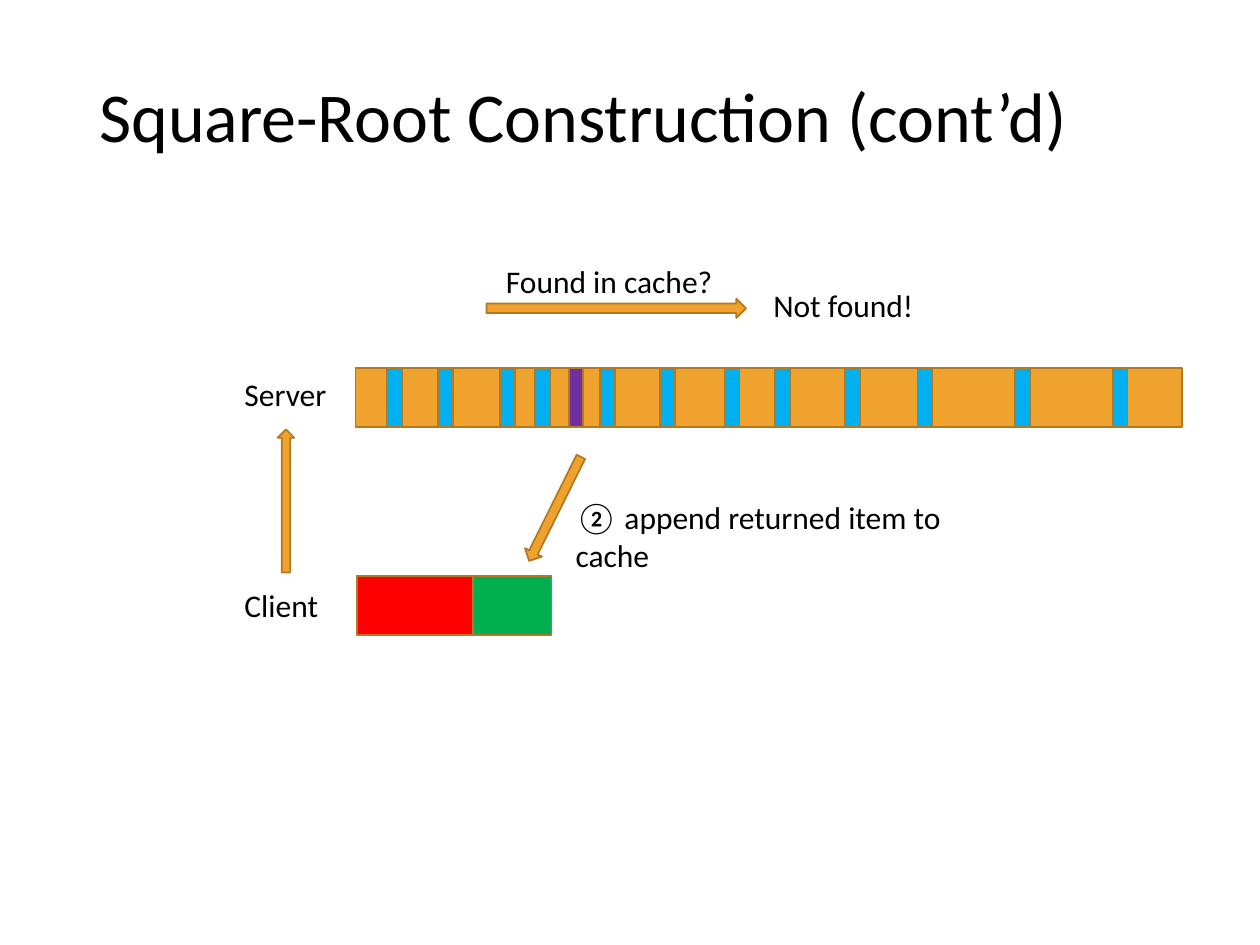
from pptx import Presentation
from pptx.dml.color import RGBColor
from pptx.enum.shapes import MSO_SHAPE as Preset
from pptx.enum.text import MSO_ANCHOR as Anchor, PP_ALIGN as Align
from pptx.util import Pt

COLORS = {
    "text": "000000",
    "outline": "B27822",
    "orange": "F0A22E",
    "blue": "00B0F0",
    "purple": "7030A0",
    "green": "00B050",
    "red": "FF0000",
}

deck = Presentation()
deck.slide_width, deck.slide_height = Pt(720), Pt(540)
slide = deck.slides.add_slide(deck.slide_layouts[5])


def write(frame, text, size=18, wrap=False, anchor=Anchor.TOP, spacing=None):
    frame.word_wrap = wrap
    frame.vertical_anchor = anchor
    paragraph = frame.paragraphs[0]
    paragraph.alignment = Align.LEFT
    paragraph.line_spacing = spacing
    run = paragraph.add_run()
    run.text = text
    run.font.size = Pt(size)
    run.font.name = "Calibri"
    run.font.color.rgb = RGBColor.from_string(COLORS["text"])


def draw(preset, left, top, width, height, color, rotation=0):
    shape = slide.shapes.add_shape(preset, Pt(left), Pt(top), Pt(width), Pt(height))
    shape.shadow.inherit = False
    shape.fill.solid()
    shape.fill.fore_color.rgb = RGBColor.from_string(COLORS[color])
    shape.line.color.rgb = RGBColor.from_string(COLORS["outline"])
    shape.line.width = Pt(1)
    shape.rotation = rotation


# Title
title = slide.shapes.title
title.left, title.top, title.width, title.height = Pt(49.5), Pt(37.5), Pt(621), Pt(62)
write(title.text_frame, "Square-Root Construction (cont’d)", size=40, wrap=True,
      anchor=Anchor.MIDDLE, spacing=0.9)

# Server memory: cached blocks in blue, the returned item in purple
SERVER_TOP, CLIENT_TOP, BAR_HEIGHT = 210.2, 329, 33.8
draw(Preset.RECTANGLE, 203.2, SERVER_TOP, 472.3, BAR_HEIGHT, "orange")
for block_left in (221, 250.4, 285.8, 305.8, 342.7, 377.2,
                   414, 442.8, 483, 524.3, 580.2, 635.7):
    draw(Preset.RECTANGLE, block_left, SERVER_TOP, 8.6, BAR_HEIGHT, "blue")
draw(Preset.RECTANGLE, 325.2, SERVER_TOP, 8, BAR_HEIGHT, "purple")

# Client memory: cache in red
draw(Preset.RECTANGLE, 204.2, CLIENT_TOP, 111, BAR_HEIGHT, "green")
draw(Preset.RECTANGLE, 204.2, CLIENT_TOP, 66, BAR_HEIGHT, "red")

# Arrows: cache lookup, request to the server, returned item
draw(Preset.RIGHT_ARROW, 278, 170.7, 148.3, 11, "orange")
draw(Preset.DOWN_ARROW, 158.6, 245.4, 9.6, 81.8, "orange", rotation=180)
draw(Preset.DOWN_ARROW, 311.8, 257.6, 10.8, 66.4, "orange", rotation=26.4)

# Labels
for text, left, top, width, wrap in (
    ("Found in cache?", 282, 146.4, 134, False),
    ("Not found!", 434.8, 160, 96, False),
    ("Server", 132.6, 211, 62, False),
    ("Client", 132.6, 331.4, 57, False),
    ("② append returned item to cache", 321.8, 281, 265, True),
):
    label = slide.shapes.add_textbox(Pt(left), Pt(top), Pt(width), Pt(29))
    write(label.text_frame, text, wrap=wrap)

deck.save("out.pptx")
